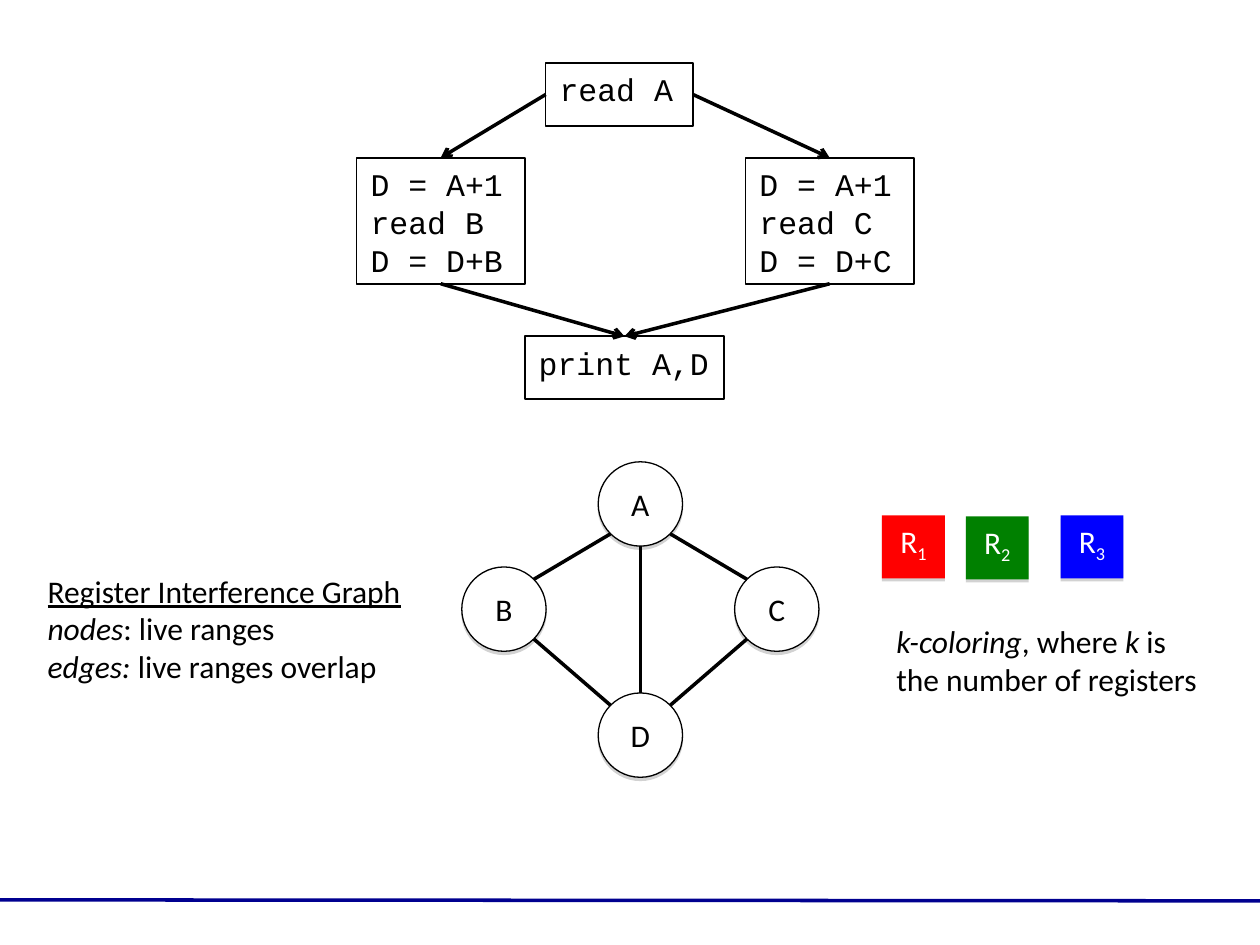
"""Build the register allocation slide: flow graph, interference graph and registers."""
from math import sqrt

from lxml import etree
from pptx import Presentation
from pptx import util as u
from pptx.dml.color import RGBColor
from pptx.enum import shapes, text
from pptx.oxml.ns import qn

COLORS = {"ink": "000000", "paper": "FFFFFF", "rule": "000090", "shadow": "808080",
          "red": "FF0000", "green": "008000", "blue": "0000FF"}
CODE, BODY = "Courier New", "Calibri"
TOP, LEFT, BOTTOM, RIGHT = range(4)

BLOCKS = {
    "read": (11, 1.27, 2.97, 1.27, ["read A"]),
    "left": (7.19, 3.18, 3.39, 2.54, ["D = A+1", "read B", "D = D+B"]),
    "right": (15.03, 3.18, 3.39, 2.54, ["D = A+1", "read C", "D = D+C"]),
    "print": (10.58, 6.78, 4.02, 1.27, ["print A,D"]),
}
FLOWS = [("read", LEFT, "left", TOP), ("read", RIGHT, "right", TOP),
         ("left", BOTTOM, "print", TOP), ("right", BOTTOM, "print", TOP)]

RADIUS = 0.85
NODES = {"A": (12.91, 10.16), "B": (10.16, 12.28), "C": (15.66, 12.28), "D": (12.91, 14.82)}
EDGES = ["AB", "BD", "AC", "CD", "AD"]

REGISTER_SIZE = 1.27
REGISTERS = [("1", "red", 17.78, 10.39), ("2", "green", 19.47, 10.41), ("3", "blue", 21.38, 10.39)]

NOTES = [
    (0.71, 11.4, 7.7, 2.54, [
        [("Register Interference Graph", "underline")],
        [("nodes", "italic"), (": live ranges", "")],
        [("edges: ", "italic"), ("live ranges overlap", "")]]),
    (17.82, 12.42, 6.6, 1.78, [
        [("k-coloring", "italic"), (", where ", ""), ("k", "italic"), (" is", "")],
        [("the number of registers", "")]]),
]


def rgb(name):
    return RGBColor.from_string(COLORS[name])


def write(tf, paragraphs, font=BODY, color="ink", align=text.PP_ALIGN.LEFT):
    for i, runs in enumerate(paragraphs):
        p = tf.add_paragraph() if i else tf.paragraphs[0]
        p.alignment = align
        for words, style in runs:
            r = p.add_run()
            r.text = words
            r.font.name, r.font.size, r.font.color.rgb = font, u.Pt(18), rgb(color)
            if style == "sub":
                r.font._element.set("baseline", "-25000")
            elif style:
                setattr(r.font, style, True)


def add_box(s, kind, box, fill, line_width, shadow=False):
    sp = s.shapes.add_shape(kind, *map(u.Cm, box))
    sp.fill.solid()
    sp.fill.fore_color.rgb = rgb(fill)
    if line_width:
        sp.line.color.rgb, sp.line.width = rgb("ink"), u.Pt(line_width)
    else:
        sp.line.fill.background()
    sp.shadow.inherit = False
    if shadow:
        effects = sp._element.spPr.find(qn("a:effectLst"))
        outer = etree.SubElement(effects, qn("a:outerShdw"), blurRad="0",
                                 dist=str(u.Pt(1.8)), dir="5400000", rotWithShape="0")
        tint = etree.SubElement(outer, qn("a:srgbClr"), val=COLORS["shadow"])
        etree.SubElement(tint, qn("a:alpha"), val="35000")
    sp.text_frame.word_wrap = True
    sp.text_frame.vertical_anchor = text.MSO_ANCHOR.TOP
    return sp


def add_line(s, ends=(0, 0, 0, 0), color="ink", arrow=False):
    cxn = s.shapes.add_connector(shapes.MSO_CONNECTOR.STRAIGHT, *map(u.Cm, ends))
    cxn.line.color.rgb, cxn.line.width = rgb(color), u.Pt(2)
    if arrow:
        etree.SubElement(cxn.line._get_or_add_ln(), qn("a:tailEnd"), type="arrow")
    etree.SubElement(cxn._element.spPr, qn("a:effectLst"))
    return cxn


def edge_ends(start, end):
    """Meet each circle at the nearest of its eight compass points."""
    (x1, y1), (x2, y2) = start, end
    dx, dy = (x2 > x1) - (x2 < x1), (y2 > y1) - (y2 < y1)
    reach = RADIUS / sqrt(dx * dx + dy * dy)
    return x1 + dx * reach, y1 + dy * reach, x2 - dx * reach, y2 - dy * reach


def add_flow_graph(s):
    boxes = {}
    for name, (*box, lines) in BLOCKS.items():
        sp = boxes[name] = add_box(s, shapes.MSO_SHAPE.RECTANGLE, box, "paper", 1)
        tf = sp.text_frame
        tf.margin_left = tf.margin_right = u.Cm(0.28)
        tf.margin_top = tf.margin_bottom = u.Cm(0.15)
        write(tf, [[(line, "")] for line in lines], CODE)
    for source, source_side, target, target_side in FLOWS:
        cxn = add_line(s, arrow=True)
        cxn.begin_connect(boxes[source], source_side)
        cxn.end_connect(boxes[target], target_side)


def add_interference_graph(s):
    for name, (x, y) in NODES.items():
        box = (x - RADIUS, y - RADIUS, 2 * RADIUS, 2 * RADIUS)
        sp = add_box(s, shapes.MSO_SHAPE.OVAL, box, "paper", 0.75, shadow=True)
        sp.text_frame.vertical_anchor = text.MSO_ANCHOR.MIDDLE
        write(sp.text_frame, [[(name, "")]], align=text.PP_ALIGN.CENTER)
    for start, end in EDGES:
        add_line(s, edge_ends(NODES[start], NODES[end]))


def add_registers(s):
    for number, color, x, y in REGISTERS:
        box = (x, y, REGISTER_SIZE, REGISTER_SIZE)
        sp = add_box(s, shapes.MSO_SHAPE.RECTANGLE, box, color, 0, shadow=True)
        write(sp.text_frame, [[("R", ""), (number, "sub")]], color="paper",
              align=text.PP_ALIGN.CENTER)


def add_notes(s):
    for *box, paragraphs in NOTES:
        tf = s.shapes.add_textbox(*map(u.Cm, box)).text_frame
        tf.word_wrap = False
        tf.auto_size = text.MSO_AUTO_SIZE.SHAPE_TO_FIT_TEXT
        write(tf, paragraphs)


def main():
    prs = Presentation()
    prs.slide_width, prs.slide_height = u.Cm(25.4), u.Cm(19.05)
    s = prs.slides.add_slide(prs.slide_layouts[6])
    add_line(s, (0, 18.14, 25.4, 18.16), "rule")
    add_flow_graph(s)
    add_interference_graph(s)
    add_registers(s)
    add_notes(s)
    prs.save("out.pptx")


if __name__ == "__main__":
    main()
